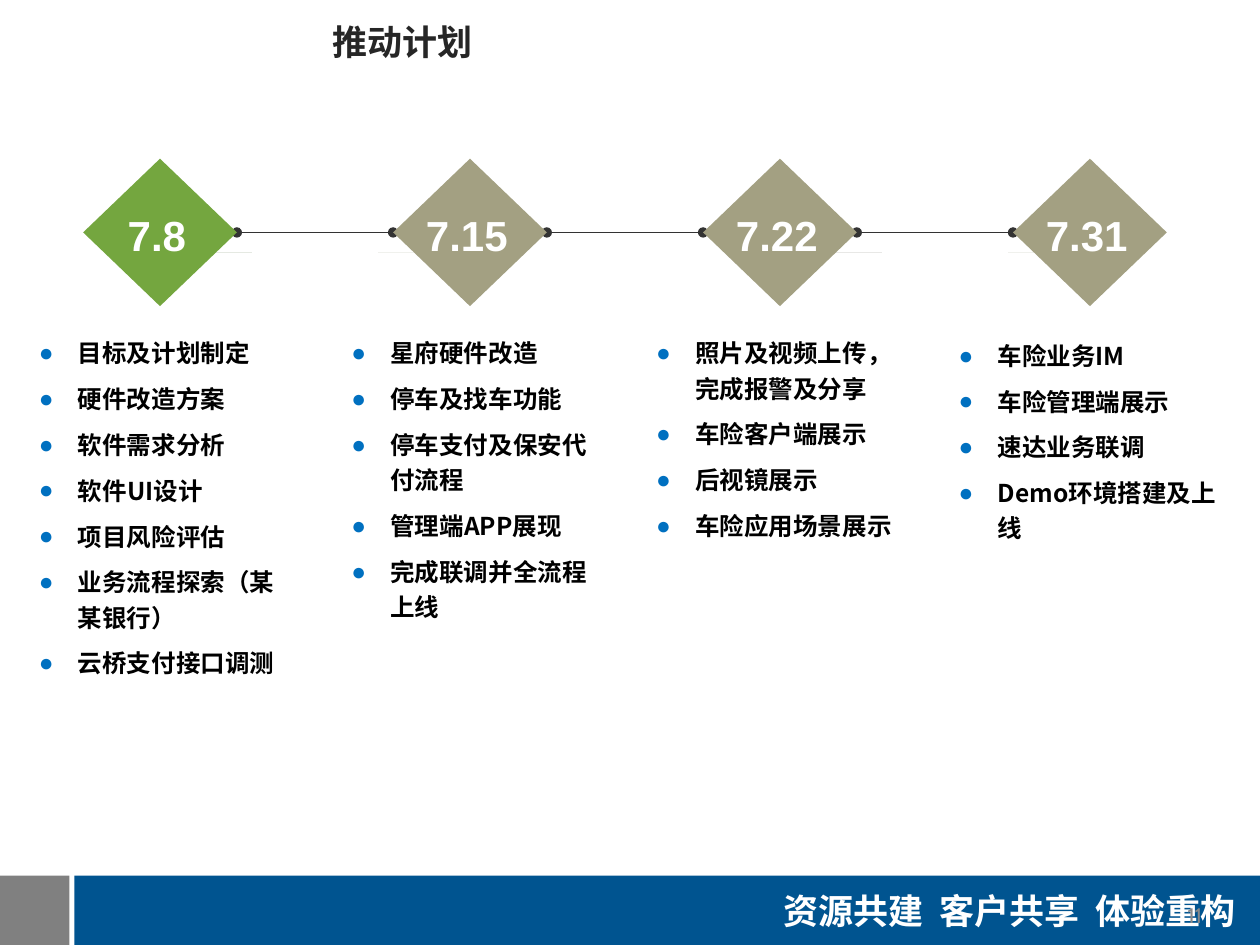
"""Builds the rollout plan slide: four dated milestones with their task lists."""
from lxml.etree import SubElement
from pptx import Presentation
from pptx.dml.color import RGBColor
from pptx.enum.shapes import MSO_CONNECTOR, MSO_SHAPE
from pptx.enum.text import MSO_ANCHOR, PP_ALIGN
from pptx.oxml.ns import qn
from pptx.util import Inches, Pt

BLUE = RGBColor(0x00, 0x54, 0x90)
GRAY = RGBColor(0x80, 0x80, 0x80)
PAGE_GRAY = RGBColor(0x89, 0x89, 0x89)
WHITE = RGBColor(0xFF, 0xFF, 0xFF)
BLACK = RGBColor(0x00, 0x00, 0x00)
TITLE_INK = RGBColor(0x26, 0x26, 0x26)
LINE_INK = RGBColor(0x33, 0x33, 0x33)
GREEN_TONES = (RGBColor(0x74, 0xA6, 0x3F), RGBColor(0x5F, 0x91, 0x39), RGBColor(0x35, 0x50, 0x1D))
KHAKI_TONES = (RGBColor(0xA3, 0xA0, 0x82), RGBColor(0x8A, 0x94, 0x70), RGBColor(0x4C, 0x4D, 0x3C))
BULLET_HEX = "0070C0"
CJK_FONT = "Noto Sans CJK SC"

TITLE = "推动计划"
SLOGAN = "资源共建  客户共享  体验重构"
PAGE = "11"
MILESTONES = [
    ("7.8", GREEN_TONES, (0.21, 2.59, 2.08, 2.84),
     ["目标及计划制定", "硬件改造方案", "软件需求分析", "软件UI设计", "项目风险评估",
      "业务流程探索（某某银行）", "云桥支付接口调测"]),
    ("7.15", KHAKI_TONES, (2.69, 2.59, 2.08, 2.78),
     ["星府硬件改造", "停车及找车功能", "停车支付及保安代付流程", "管理端APP展现",
      "完成联调并全流程上线"]),
    ("7.22", KHAKI_TONES, (5.11, 2.59, 2.08, 1.77),
     ["照片及视频上传，完成报警及分享", "车险客户端展示", "后视镜展示", "车险应用场景展示"]),
    ("7.31", KHAKI_TONES, (7.51, 2.61, 2.26, 1.77),
     ["车险业务IM", "车险管理端展示", "速达业务联调", "Demo环境搭建及上线"]),
]

FIRST_LEFT, PITCH = 0.66, 2.46
FACE_TOP, FACE_WIDTH, FACE_HEIGHT, DEPTH = 1.26, 1.22, 1.17, 0.06
AXIS = FACE_TOP + FACE_HEIGHT / 2


def paint(shape, color):
    shape.shadow.inherit = False
    shape.fill.solid()
    shape.fill.fore_color.rgb = color
    shape.line.fill.background()


def add_block(slide, kind, box, color):
    paint(slide.shapes.add_shape(kind, *map(Inches, box)), color)


def add_facet(slide, corners, color):
    outline = slide.shapes.build_freeform(*corners[0], scale=Inches(1))
    outline.add_line_segments(corners[1:], close=True)
    paint(outline.convert_to_shape(), color)


def add_text(slide, box, lines, size, color, font=CJK_FONT, bold=True,
             align=PP_ALIGN.LEFT, anchor=MSO_ANCHOR.TOP):
    frame = slide.shapes.add_textbox(*map(Inches, box)).text_frame
    frame.word_wrap = True
    frame.vertical_anchor = anchor
    for index, line in enumerate(lines):
        paragraph = frame.paragraphs[0] if index == 0 else frame.add_paragraph()
        paragraph.alignment = align
        run = paragraph.add_run()
        run.text = line
        run.font.size, run.font.bold, run.font.name = Pt(size), bold, font
        run.font.color.rgb = color
        SubElement(run.font._element, qn("a:ea"), typeface=CJK_FONT)
    return frame


def add_bullets(frame):
    for paragraph in frame.paragraphs:
        paragraph.line_spacing = 1.2
        paragraph.space_before = paragraph.space_after = Pt(3)
        properties = paragraph._p.get_or_add_pPr()
        properties.set("marL", str(Inches(0.31)))
        properties.set("indent", str(-Inches(0.31)))
        bullet_color = SubElement(properties, qn("a:buClr"))
        SubElement(bullet_color, qn("a:srgbClr"), val=BULLET_HEX)
        SubElement(properties, qn("a:buFont"), typeface="Arial")
        SubElement(properties, qn("a:buChar"), char="●")


def add_link(slide, start, end):
    link = slide.shapes.add_connector(
        MSO_CONNECTOR.STRAIGHT, *map(Inches, (start, AXIS, end, AXIS)))
    link.line.color.rgb = LINE_INK
    link.line.width = Pt(1)
    outline = link.line._get_or_add_ln()
    for end_tag in ("a:headEnd", "a:tailEnd"):
        SubElement(outline, qn(end_tag), type="oval")
    SubElement(link._element.spPr, qn("a:effectLst"))


def add_diamond(slide, left, date, tones):
    face, light_side, dark_side = tones
    center, bottom = left + FACE_WIDTH / 2, FACE_TOP + FACE_HEIGHT
    for corner, tone in ((left, light_side), (left + FACE_WIDTH, dark_side)):
        add_facet(slide, [(corner, AXIS), (center, bottom),
                          (center, bottom + DEPTH), (corner, AXIS + DEPTH)], tone)
    add_block(slide, MSO_SHAPE.DIAMOND, (left, FACE_TOP, FACE_WIDTH, FACE_HEIGHT), face)
    add_text(slide, (left + 0.11, 1.61, 0.95, 0.5), [date], 24, WHITE, "Arial",
             align=PP_ALIGN.CENTER)


def main():
    deck = Presentation()
    deck.slide_width, deck.slide_height = Inches(10), Inches(7.5)
    slide = deck.slides.add_slide(deck.slide_layouts[6])

    add_block(slide, MSO_SHAPE.RECTANGLE, (0.59, 6.95, 9.41, 0.55), BLUE)
    add_block(slide, MSO_SHAPE.RECTANGLE, (0, 6.95, 0.55, 0.55), GRAY)
    add_text(slide, (4.56, 7.01, 5.35, 0.44), [SLOGAN], 20, WHITE, "Cabin",
             align=PP_ALIGN.RIGHT)
    add_text(slide, (7.31, 7.06, 2.33, 0.4), [PAGE], 12, PAGE_GRAY, "Cabin", False,
             PP_ALIGN.RIGHT, MSO_ANCHOR.MIDDLE)
    add_text(slide, (2.54, 0.11, 5.63, 0.44), [TITLE], 20, TITLE_INK,
             anchor=MSO_ANCHOR.MIDDLE)

    lefts = [FIRST_LEFT + PITCH * index for index in range(len(MILESTONES))]
    for left, following in zip(lefts, lefts[1:]):
        add_link(slide, left + FACE_WIDTH, following)
    for left, (date, tones, task_box, tasks) in zip(lefts, MILESTONES):
        add_diamond(slide, left, date, tones)
        add_bullets(add_text(slide, task_box, tasks, 14, BLACK))

    deck.save("out.pptx")


if __name__ == "__main__":
    main()
